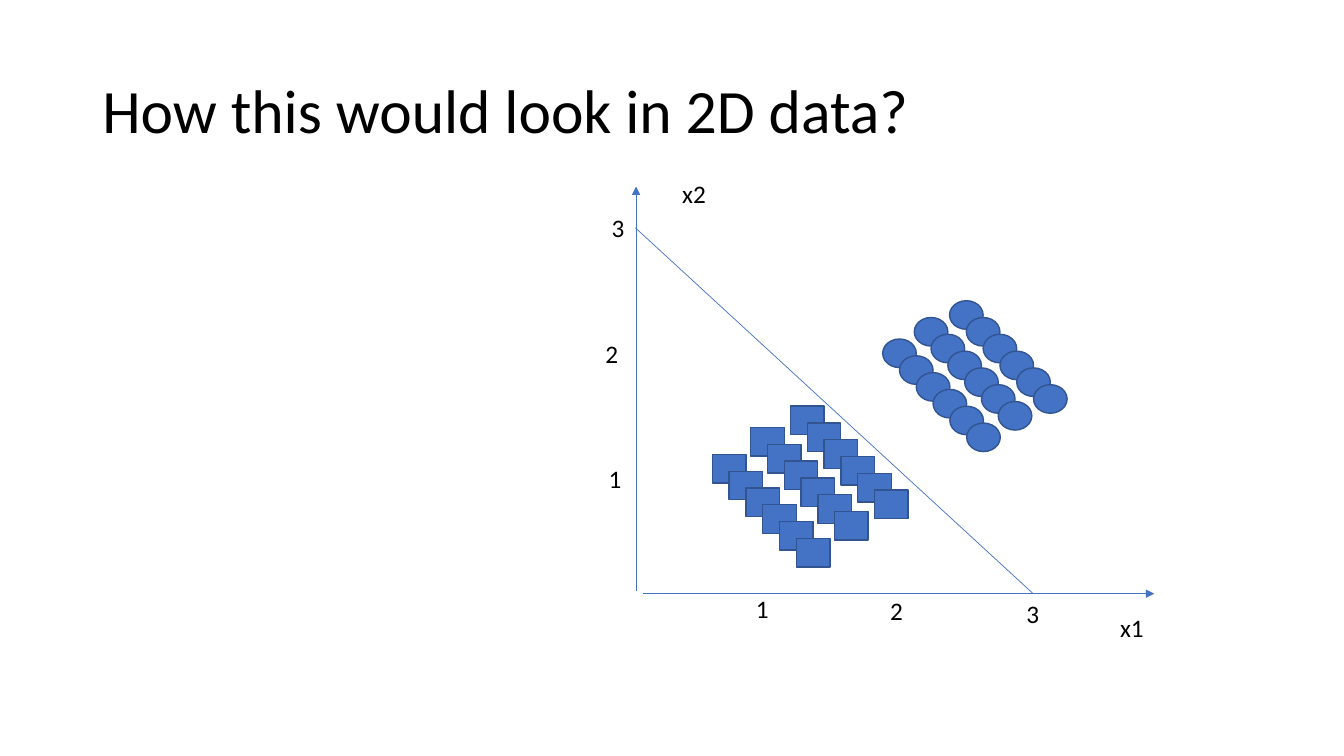
from dataclasses import dataclass

from lxml.etree import SubElement
from pptx import Presentation
from pptx.dml.color import RGBColor
from pptx.enum.shapes import MSO_CONNECTOR, MSO_SHAPE
from pptx.enum.text import MSO_ANCHOR, MSO_AUTO_SIZE
from pptx.oxml.ns import qn
from pptx.slide import Slide
from pptx.util import Emu, Inches, Pt

COLUMNS, ROWS = 80, 45
CELL = Inches(1) // 6
FONT = "Calibri"
BLACK, BLUE, DARK_BLUE = "000000", "4472C4", "325491"
POINTS_PER_DIAGONAL = 6
POINT_WIDTH, POINT_HEIGHT = 2, 1.7


@dataclass
class Cluster:
    """Diagonals of points, each starting at a (column, row) and descending one cell a point."""
    marker: MSO_SHAPE
    starts: list[tuple[float, float]]


@dataclass
class Label:
    wording: str
    column: float
    row: float
    width: float = 2


@dataclass
class Line:
    start: tuple[float, float]
    end: tuple[float, float]
    arrow: bool = False


CLUSTERS = [
    Cluster(MSO_SHAPE.OVAL, [(56.52, 17.9), (54.42, 18.9), (52.54, 20.18)]),
    Cluster(MSO_SHAPE.RECTANGLE, [(47.05, 24.18), (44.68, 25.45), (42.4, 27.05)]),
]
AXES = [
    Line((37.86, 35.16), (37.86, 11.1), arrow=True),
    Line((38.28, 35.34), (68.7, 35.34), arrow=True),
]
BOUNDARY = Line((37.82, 13.56), (61.5, 35.34))
LABELS = [
    Label("1", 44.4, 35.04),
    Label("2", 52.4, 35.14),
    Label("3", 60.5, 35.34),
    Label("1", 35.64, 27.3),
    Label("2", 35.44, 19.84),
    Label("3", 35.82, 12.34),
    Label("x2", 40.02, 10.32, 2.64),
    Label("x1", 66.08, 36.14, 2.64),
]


def cells(count: float) -> Emu:
    return Emu(round(count * CELL))


def color(hex_string: str) -> RGBColor:
    return RGBColor.from_string(hex_string)


def add_text(slide: Slide, wording: str, column: float, row: float, width: float,
             height: float, *, size: float = 18, wrap: bool = False,
             anchor: MSO_ANCHOR = MSO_ANCHOR.TOP, spacing: float = 1.0) -> None:
    box = slide.shapes.add_textbox(cells(column), cells(row), cells(width), cells(height))
    frame = box.text_frame
    frame.word_wrap = wrap
    frame.auto_size = MSO_AUTO_SIZE.NONE if wrap else MSO_AUTO_SIZE.SHAPE_TO_FIT_TEXT
    frame.vertical_anchor = anchor
    paragraph = frame.paragraphs[0]
    paragraph.text = wording
    paragraph.line_spacing = spacing
    paragraph.font.name = FONT
    paragraph.font.size = Pt(size)
    paragraph.font.color.rgb = color(BLACK)


def add_cluster(slide: Slide, cluster: Cluster) -> None:
    for column, row in cluster.starts:
        for step in range(POINTS_PER_DIAGONAL):
            point = slide.shapes.add_shape(
                cluster.marker, cells(column + step), cells(row + step),
                cells(POINT_WIDTH), cells(POINT_HEIGHT))
            point.shadow.inherit = False
            point.fill.solid()
            point.fill.fore_color.rgb = color(BLUE)
            point.line.color.rgb = color(DARK_BLUE)
            point.line.width = Pt(1)


def add_line(slide: Slide, line: Line) -> None:
    ends = [cells(length) for length in (*line.start, *line.end)]
    connector = slide.shapes.add_connector(MSO_CONNECTOR.STRAIGHT, *ends)
    connector.line.color.rgb = color(BLUE)
    connector.line.width = Pt(0.5)
    properties = connector.element.spPr
    if line.arrow:
        SubElement(properties.find(qn("a:ln")), qn("a:tailEnd"), type="triangle")
    SubElement(properties, qn("a:effectLst"))


def main() -> None:
    presentation = Presentation()
    presentation.slide_width = cells(COLUMNS)
    presentation.slide_height = cells(ROWS)
    slide = presentation.slides.add_slide(presentation.slide_layouts[6])

    add_text(slide, "How this would look in 2D data?", 5.5, 2.4, 69, 8.7,
             size=44, wrap=True, anchor=MSO_ANCHOR.MIDDLE, spacing=0.9)
    for cluster in CLUSTERS:
        add_cluster(slide, cluster)
    for line in [*AXES, BOUNDARY]:
        add_line(slide, line)
    for label in LABELS:
        add_text(slide, label.wording, label.column, label.row, label.width, 2.4)

    presentation.save("out.pptx")


if __name__ == "__main__":
    main()
